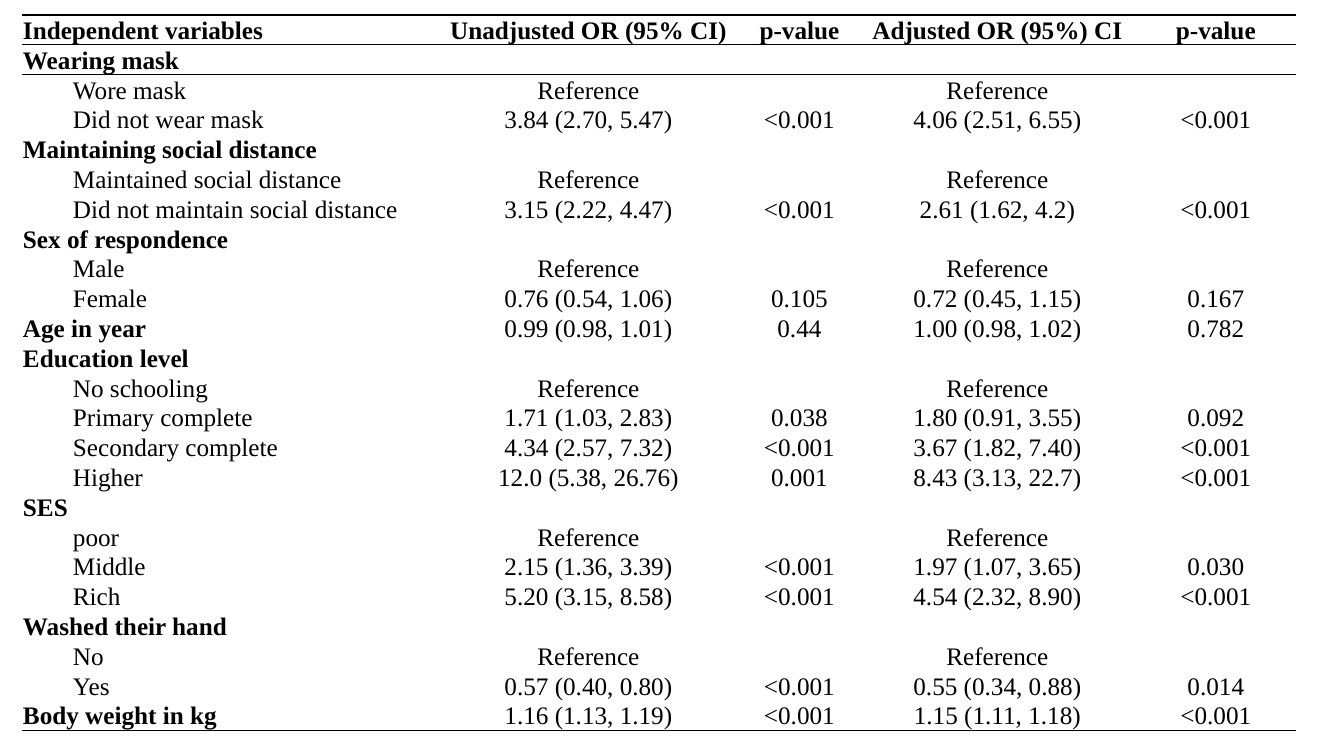
from lxml import etree
from pptx import Presentation
from pptx.dml.color import RGBColor
from pptx.enum.text import MSO_ANCHOR, PP_ALIGN
from pptx.oxml.ns import qn
from pptx.util import Emu, Pt

LEFT, CENTER = PP_ALIGN.LEFT, PP_ALIGN.CENTER
BOTTOM = MSO_ANCHOR.BOTTOM
FONT, SIZE, BLACK = "Times New Roman", 18, "000000"
NO_STYLE = "{2D5ABB26-0587-4C30-8999-92F81FD0307C}"


def px(n):
    return Emu(round(n * 914400 / 100.8))


def add_border(tcPr, side):
    ln = etree.SubElement(tcPr, qn(f"a:{side}"), w=str(Pt(1)))
    fill = etree.SubElement(ln, qn("a:solidFill"))
    etree.SubElement(fill, qn("a:srgbClr"), val=BLACK)


# Rows: label, unadjusted OR, p-value, adjusted OR, p-value
HEADER = ("Independent variables", "Unadjusted OR (95% CI)", "p-value", "Adjusted OR (95%) CI", "p-value")
REFERENCE = ("Reference", "", "Reference", "")
NO_VALUES = ("", "", "", "")

# Each variable: its own values, then its categories
VARIABLES = [
    (("Wearing mask", *NO_VALUES), [
        ("Wore mask", *REFERENCE),
        ("Did not wear mask", "3.84 (2.70, 5.47)", "<0.001", "4.06 (2.51, 6.55)", "<0.001")]),
    (("Maintaining social distance", *NO_VALUES), [
        ("Maintained social distance", *REFERENCE),
        ("Did not maintain social distance", "3.15 (2.22, 4.47)", "<0.001", "2.61 (1.62, 4.2)", "<0.001")]),
    (("Sex of respondence", *NO_VALUES), [
        ("Male", *REFERENCE),
        ("Female", "0.76 (0.54, 1.06)", "0.105", "0.72 (0.45, 1.15)", "0.167")]),
    (("Age in year", "0.99 (0.98, 1.01)", "0.44", "1.00 (0.98, 1.02)", "0.782"), []),
    (("Education level", *NO_VALUES), [
        ("No schooling", *REFERENCE),
        ("Primary complete", "1.71 (1.03, 2.83)", "0.038", "1.80 (0.91, 3.55)", "0.092"),
        ("Secondary complete", "4.34 (2.57, 7.32)", "<0.001", "3.67 (1.82, 7.40)", "<0.001"),
        ("Higher", "12.0 (5.38, 26.76)", "0.001", "8.43 (3.13, 22.7)", "<0.001")]),
    (("SES", *NO_VALUES), [
        ("poor", *REFERENCE),
        ("Middle", "2.15 (1.36, 3.39)", "<0.001", "1.97 (1.07, 3.65)", "0.030"),
        ("Rich", "5.20 (3.15, 8.58)", "<0.001", "4.54 (2.32, 8.90)", "<0.001")]),
    (("Washed their hand", *NO_VALUES), [
        ("No", *REFERENCE),
        ("Yes", "0.57 (0.40, 0.80)", "<0.001", "0.55 (0.34, 0.88)", "0.014")]),
    (("Body weight in kg", "1.16 (1.13, 1.19)", "<0.001", "1.15 (1.11, 1.18)", "<0.001"), []),
]

# Six grid columns: categories leave the first one empty as an indent
rows = [(HEADER[0], "", *HEADER[1:])]
for variable, categories in VARIABLES:
    rows.append((variable[0], "", *variable[1:]))
    rows += [("", *category) for category in categories]

prs = Presentation()
prs.slide_width, prs.slide_height = px(1344), px(756)
s = prs.slides.add_slide(prs.slide_layouts[6])

# Table grid
COL_WIDTHS = [50, 365, 303, 119, 277, 160]
TABLE_H = 716
frame = s.shapes.add_table(len(rows), len(COL_WIDTHS), px(22), px(15), px(sum(COL_WIDTHS)), px(TABLE_H))
table = frame.table
table.first_row = table.horz_banding = False
table._tbl.tblPr.find(qn("a:tableStyleId")).text = NO_STYLE
for column, width in zip(table.columns, COL_WIDTHS):
    column.width = px(width)

# Cells
last = len(rows) - 1
for i, row in enumerate(rows):
    table.rows[i].height = px(TABLE_H / len(rows))
    if row[0]:
        table.cell(i, 0).merge(table.cell(i, 1))
    for j, text in enumerate(row):
        cell = table.cell(i, j)
        cell.margin_left = cell.margin_right = cell.margin_top = px(1)
        cell.margin_bottom = 0
        cell.vertical_anchor = BOTTOM
        tcPr = cell._tc.get_or_add_tcPr()
        if i in (0, 1):
            add_border(tcPr, "lnT")
        if i in (0, last):
            add_border(tcPr, "lnB")
        cell.fill.background()

        p = cell.text_frame.paragraphs[0]
        p.alignment = LEFT if j < 2 else CENTER
        if text:
            r = p.add_run()
            r.text = text
            r.font.name, r.font.size = FONT, Pt(SIZE)
            r.font.bold = i == 0 or j == 0
            r.font.color.rgb = RGBColor.from_string(BLACK)
        else:
            # Keeps empty cells from stretching the row
            etree.SubElement(p._p, qn("a:endParaRPr"), sz="1200")

prs.save("out.pptx")
